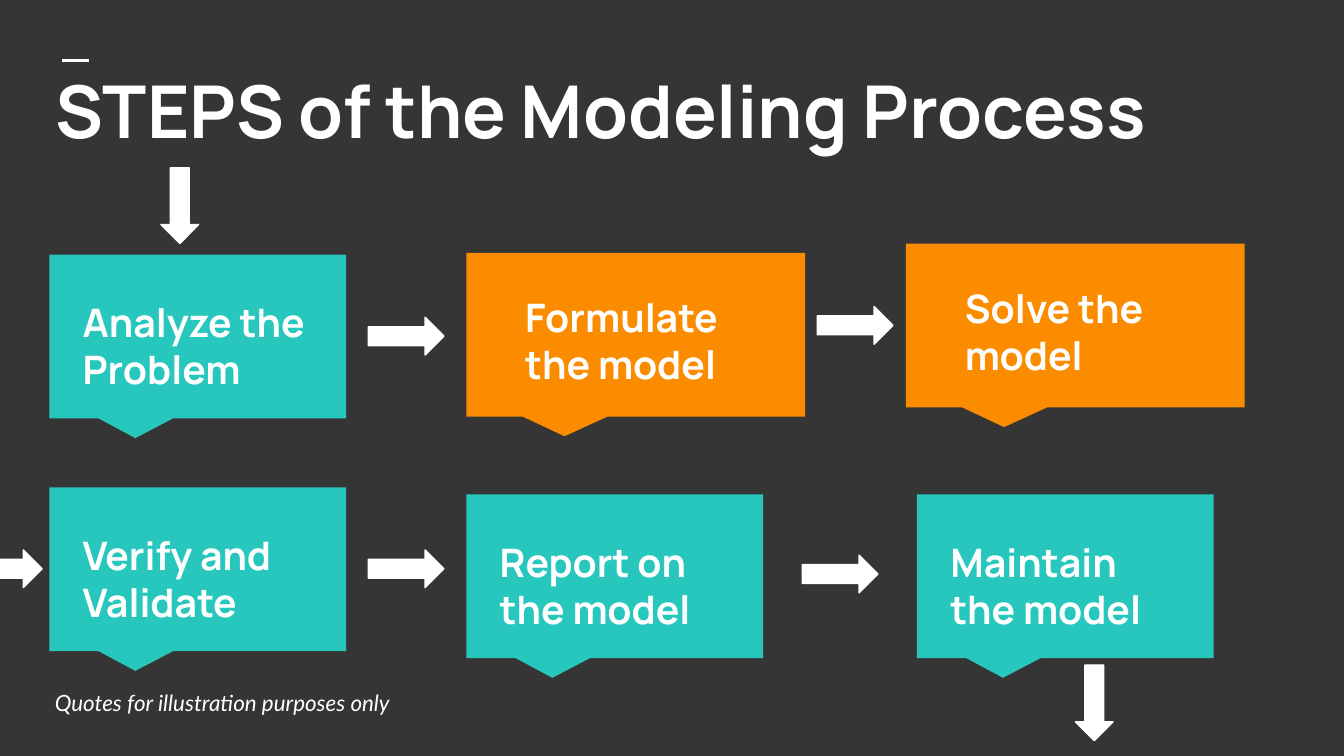
from pptx import Presentation
from pptx.dml.color import RGBColor
from pptx.enum.shapes import MSO_CONNECTOR, MSO_SHAPE
from pptx.enum.text import MSO_ANCHOR, MSO_AUTO_SIZE, PP_ALIGN
from pptx.oxml.ns import qn
from pptx.util import Pt
from lxml.etree import SubElement

COLORS = {"back": "353535", "white": "FFFFFF", "teal": "27C7BD", "orange": "FB8C00"}
KINDS = {"teal": (159, 10.8, 16.4, 137.5), "orange": (181.5, 24.5, 14.4, 122.4)}


def color(name):
    return RGBColor.from_string(COLORS[name])


class Deck:
    def __init__(self):
        self.prs = Presentation()
        self.prs.slide_width, self.prs.slide_height = Pt(720), Pt(405)
        self.slide = self.prs.slides.add_slide(self.prs.slide_layouts[5])
        self.shapes = self.slide.shapes
        fill = self.slide.background.fill
        fill.solid()
        fill.fore_color.rgb = color("back")

    def label(self, shape, text, size, font="Manrope", bold=True,
              italic=False, anchor=MSO_ANCHOR.TOP, after=0):
        frame = shape.text_frame
        frame.text = text
        frame.word_wrap = True
        frame.auto_size = MSO_AUTO_SIZE.NONE
        frame.vertical_anchor = anchor
        frame.margin_left = frame.margin_right = Pt(7.2)
        frame.margin_top = frame.margin_bottom = Pt(7.2)
        para = frame.paragraphs[0]
        para.alignment = PP_ALIGN.LEFT
        para.space_before, para.space_after = Pt(0), Pt(after)
        style = para.font
        style.name, style.size = font, Pt(size)
        style.bold, style.italic = bold, italic
        style.color.rgb = color("white")

    def title(self, text, x, y, w, h):
        shape = self.shapes.title
        shape.left, shape.top, shape.width, shape.height = Pt(x), Pt(y), Pt(w), Pt(h)
        self.label(shape, text, 39)

    def text(self, text, x, y, w, h, size, **style):
        box = self.shapes.add_textbox(Pt(x), Pt(y), Pt(w), Pt(h))
        self.label(box, text, size, **style)

    def form(self, kind, x, y, w, h, fill):
        shape = self.shapes.add_shape(kind, Pt(x), Pt(y), Pt(w), Pt(h))
        shape.shadow.inherit = False
        shape.fill.solid()
        shape.fill.fore_color.rgb = color(fill)
        shape.line.fill.background()
        return shape

    def step(self, text, x, y, kind):
        wide, dx, dy, span = KINDS[kind]
        shape = self.form(MSO_SHAPE.RECTANGULAR_CALLOUT, x, y, wide, 87.8, kind)
        shape.adjustments[0], shape.adjustments[1] = -0.21, 0.62
        self.text(text, x + dx, y + dy, span, 53.3, 21, after=12)

    def arrow(self, x, y, turn=0):
        shape = self.form(MSO_SHAPE.RIGHT_ARROW, x, y, 40.6, 20.2, "white")
        shape.line.color.rgb = color("white")
        shape.line.width = Pt(0.75)
        shape.rotation = turn

    def rule(self, x, y, w):
        line = self.shapes.add_connector(
            MSO_CONNECTOR.STRAIGHT, Pt(x), Pt(y), Pt(x + w), Pt(y))
        line.line.color.rgb = color("white")
        line.line.width = Pt(1.5)
        SubElement(line._element.spPr, qn("a:effectLst"))


def main():
    deck = Deck()
    deck.rule(33.5, 32.5, 14.4)
    deck.title("STEPS of the Modeling Process", 22.3, 28.1, 679, 61.9)
    steps = [
        ("Analyze the Problem", 26.4, 136.4, "teal"),
        ("Formulate the model", 249.8, 135.4, "orange"),
        ("Solve the model", 485.3, 130.5, "orange"),
        ("Verify and Validate", 26.4, 261.1, "teal"),
        ("Report on the model", 249.8, 264.8, "teal"),
        ("Maintain the model", 491.2, 264.8, "teal"),
    ]
    for step in steps:
        deck.step(*step)
    deck.text("Quotes for illustration purposes only", 22.3, 366.5, 491.8, 20.2, 12,
              font="Lato", bold=False, italic=True, anchor=MSO_ANCHOR.MIDDLE)
    for x, y in [(197.3, 170), (437.8, 164.2), (-18, 294.6), (197.3, 294.6), (429.8, 297.4)]:
        deck.arrow(x, y)
    for x, y in [(76, 100.1), (565.9, 366.5)]:
        deck.arrow(x, y, 90)
    deck.prs.save("out.pptx")


if __name__ == "__main__":
    main()
